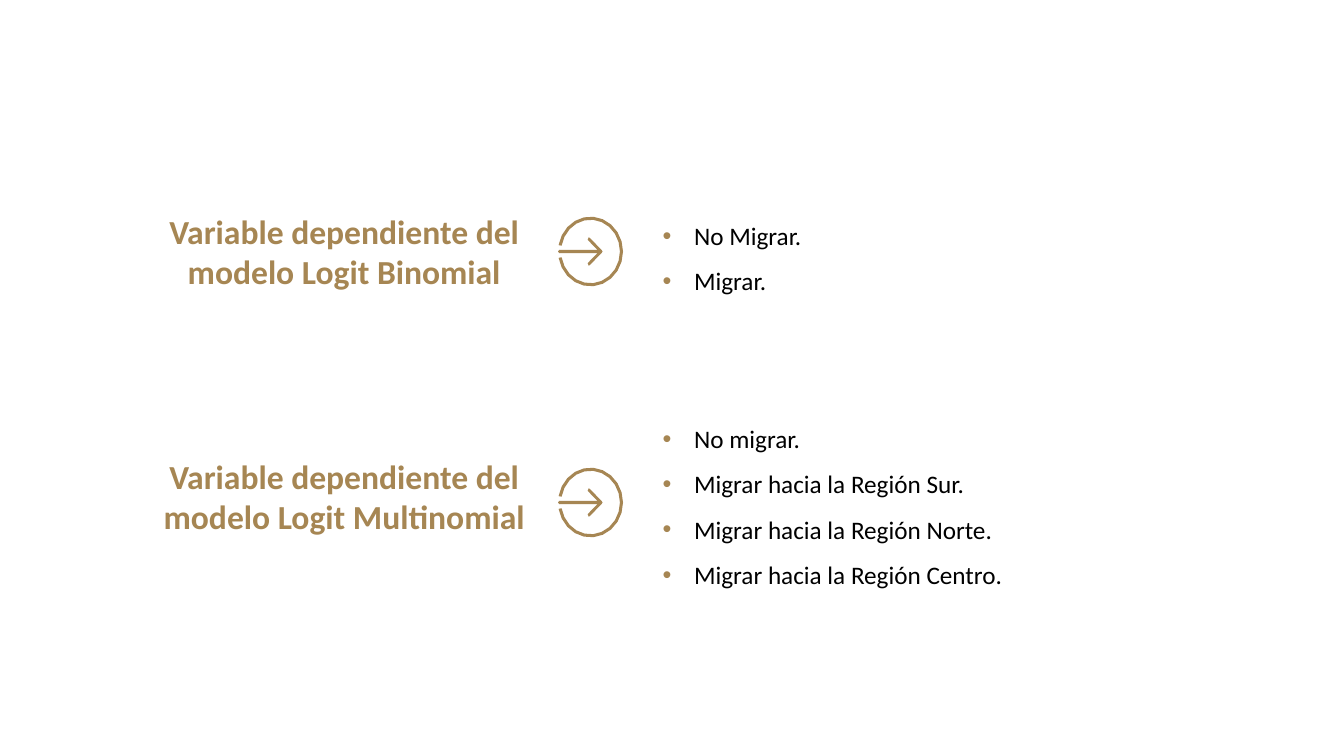
from dataclasses import dataclass
from math import cos, pi, sin

from lxml.etree import SubElement
from pptx import Presentation
from pptx.dml.color import RGBColor
from pptx.enum.text import MSO_AUTO_SIZE, PP_ALIGN
from pptx.oxml.ns import qn
from pptx.util import Pt

MODELS = [
    {
        "label": "Variable dependiente del modelo Logit Binomial",
        "label_top": 146.9,
        "options": ["No Migrar.", "Migrar."],
        "options_top": 143,
        "options_height": 69.1,
        "icon_middle": 179.6,
    },
    {
        "label": "Variable dependiente del modelo Logit Multinomial",
        "label_top": 321.8,
        "options": [
            "No migrar.",
            "Migrar hacia la Región Sur.",
            "Migrar hacia la Región Norte.",
            "Migrar hacia la Región Centro.",
        ],
        "options_top": 288,
        "options_height": 134.6,
        "icon_middle": 358.9,
    },
]


@dataclass(frozen=True)
class Theme:
    font: str = "Calibri"
    gold: str = "A68653"
    black: str = "000000"
    label_size: float = 24
    option_size: float = 18


THEME = Theme()
LABEL_LEFT, LABEL_WIDTH, LABEL_HEIGHT = 81.4, 329, 65.4
OPTIONS_LEFT, OPTIONS_WIDTH = 466.2, 398.2
OPTION_INDENT = 22.5
ICON_CENTER = 421.8
ICON_ROTATION = 270
RING_RADII = (23.2, 24.9)
RING_STROKE = 2.2
RING_GAP = 10.5
ARC_STEPS = 20
ARROW_UPPER_HALF = [
    (-23.2, 0), (-22.4, -1.1), (5, -1.1), (-2, -8.3),
    (-1.4, -10.1), (-0.6, -9.8), (8, -1), (8.6, 0),
]


def add_bullet(paragraph):
    properties = paragraph._p.get_or_add_pPr()
    properties.set("marL", str(Pt(OPTION_INDENT)))
    properties.set("indent", str(-Pt(OPTION_INDENT)))
    bullet_color = SubElement(properties, qn("a:buClr"))
    SubElement(bullet_color, qn("a:srgbClr"), val=THEME.gold)
    SubElement(properties, qn("a:buFont"), typeface="Arial")
    SubElement(properties, qn("a:buChar"), char="•")


def add_text(slide, lines, *, left, top, width, height, size, color,
             bold=False, align=PP_ALIGN.LEFT, spacing=None, bullets=False):
    box = slide.shapes.add_textbox(Pt(left), Pt(top), Pt(width), Pt(height))
    frame = box.text_frame
    frame.word_wrap = True
    frame.auto_size = MSO_AUTO_SIZE.SHAPE_TO_FIT_TEXT
    for index, line in enumerate(lines):
        paragraph = frame.add_paragraph() if index else frame.paragraphs[0]
        if bullets:
            add_bullet(paragraph)
        paragraph.alignment = align
        paragraph.line_spacing = spacing
        run = paragraph.add_run()
        run.text = line
        run.font.name = THEME.font
        run.font.size = Pt(size)
        run.font.bold = bold
        run.font.color.rgb = RGBColor.from_string(color)


def arc(radii, start, end):
    angles = [start + (end - start) * step / ARC_STEPS for step in range(ARC_STEPS + 1)]
    return [(radii[0] * cos(angle), radii[1] * sin(angle)) for angle in angles]


def ring_outline():
    gap = RING_GAP * pi / 180
    start, end = pi + gap, 3 * pi - gap
    inner_radii = [radius - RING_STROKE for radius in RING_RADII]
    return arc(RING_RADII, start, end) + arc(inner_radii, end, start)


def add_arrow_icon(slide, middle):
    lower_half = [(x, -y) for x, y in reversed(ARROW_UPPER_HALF[1:-1])]
    ring, arrow = [
        [(Pt(ICON_CENTER - y), Pt(middle + x)) for x, y in outline]
        for outline in (ring_outline(), ARROW_UPPER_HALF + lower_half)
    ]
    builder = slide.shapes.build_freeform(*ring[0])
    builder.add_line_segments(ring[1:], close=True)
    builder.move_to(*arrow[0])
    builder.add_line_segments(arrow[1:], close=True)
    shape = builder.convert_to_shape()
    shape.rotation = ICON_ROTATION
    shape.shadow.inherit = False
    shape.fill.solid()
    shape.fill.fore_color.rgb = RGBColor.from_string(THEME.gold)
    shape.line.fill.background()


def main():
    presentation = Presentation()
    presentation.slide_width, presentation.slide_height = Pt(960), Pt(540)
    slide = presentation.slides.add_slide(presentation.slide_layouts[6])
    for model in MODELS:
        add_text(
            slide, [model["label"]], left=LABEL_LEFT, top=model["label_top"],
            width=LABEL_WIDTH, height=LABEL_HEIGHT, size=THEME.label_size,
            color=THEME.gold, bold=True, align=PP_ALIGN.CENTER,
        )
        add_text(
            slide, model["options"], left=OPTIONS_LEFT, top=model["options_top"],
            width=OPTIONS_WIDTH, height=model["options_height"],
            size=THEME.option_size, color=THEME.black, spacing=1.5, bullets=True,
        )
    for model in MODELS:
        add_arrow_icon(slide, model["icon_middle"])
    presentation.save("out.pptx")


if __name__ == "__main__":
    main()
